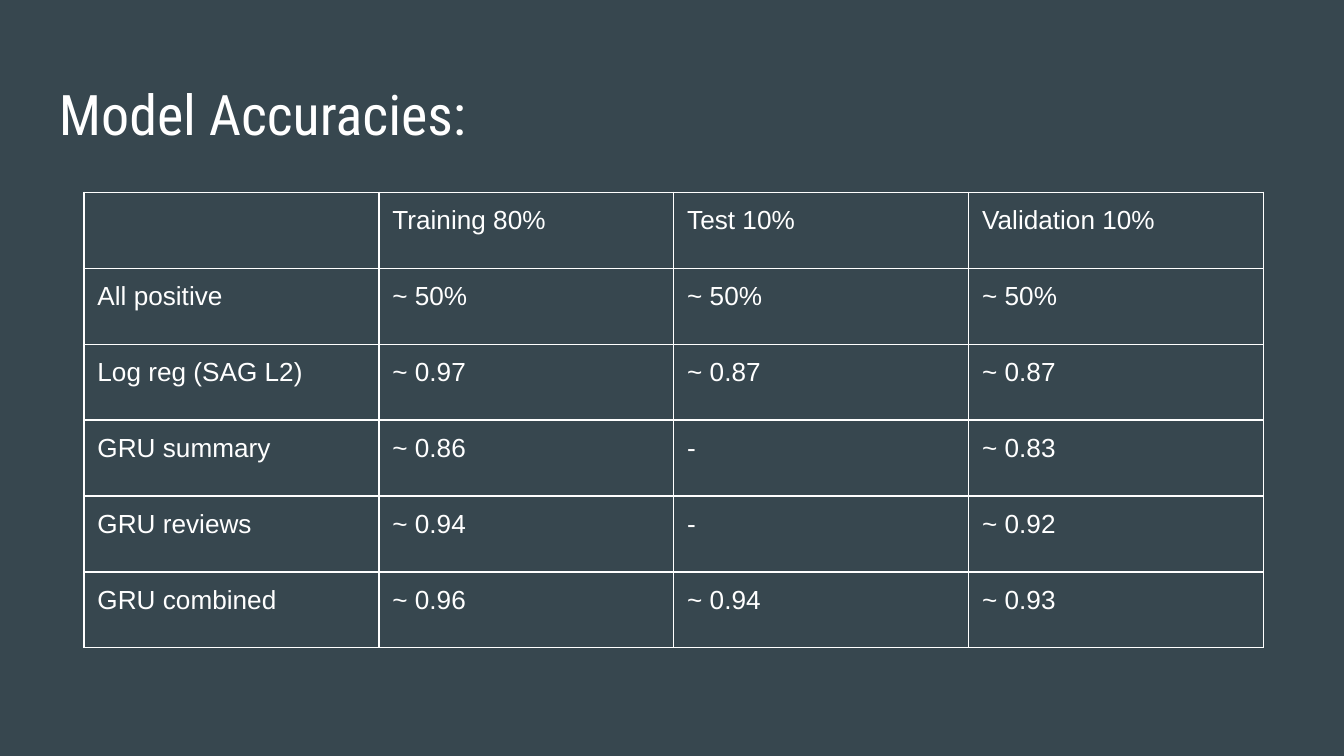
"""Build a slide with a table of model accuracies on a dark background."""
from lxml import etree
from pptx import Presentation
from pptx.dml.color import RGBColor
from pptx.enum import text
from pptx.oxml import ns
from pptx.util import Pt

SLATE = RGBColor(0x37, 0x47, 0x4F)
WHITE = RGBColor(0xFF, 0xFF, 0xFF)
INSET = Pt(7.2)
ROWS = [
    ["", "Training 80%", "Test 10%", "Validation 10%"],
    ["All positive", "~ 50%", "~ 50%", "~ 50%"],
    ["Log reg (SAG L2)", "~ 0.97", "~ 0.87", "~ 0.87"],
    ["GRU summary", "~ 0.86", "-", "~ 0.83"],
    ["GRU reviews", "~ 0.94", "-", "~ 0.92"],
    ["GRU combined", "~ 0.96", "~ 0.94", "~ 0.93"],
]
COL_W, ROW_H = Pt(158), Pt(40.7)


def add_run(p, words, font, size):
    r = p.add_run()
    r.text = words
    r.font.name = font
    r.font.size = Pt(size)
    r.font.color.rgb = WHITE


def add_borders(cell):
    tc_pr = cell._tc.get_or_add_tcPr()
    for i, side in enumerate(("lnL", "lnR", "lnT", "lnB")):
        ln = etree.Element(ns.qn(f"a:{side}"), w=str(Pt(0.75)))
        fill = etree.SubElement(ln, ns.qn("a:solidFill"))
        etree.SubElement(fill, ns.qn("a:srgbClr"), val=str(WHITE))
        tc_pr.insert(i, ln)


prs = Presentation()
prs.slide_width, prs.slide_height = Pt(720), Pt(405)
s = prs.slides.add_slide(prs.slide_layouts[6])
s.background.fill.solid()
s.background.fill.fore_color.rgb = SLATE

title = s.shapes.add_textbox(Pt(24.5), Pt(35.4), Pt(671), Pt(45.1))
tf = title.text_frame
tf.word_wrap = True
tf.vertical_anchor = text.MSO_ANCHOR.TOP
tf.margin_left = tf.margin_right = tf.margin_top = tf.margin_bottom = INSET
add_run(tf.paragraphs[0], "Model Accuracies:", "Roboto Condensed", 30)

frame = s.shapes.add_table(len(ROWS), len(ROWS[0]), Pt(45), Pt(103),
                           COL_W * len(ROWS[0]), ROW_H * len(ROWS))
table = frame.table
table.first_row = table.horz_banding = False
for col in table.columns:
    col.width = COL_W
for row, values in zip(table.rows, ROWS):
    row.height = ROW_H
    for cell, value in zip(row.cells, values):
        cell.fill.background()
        cell.margin_left = cell.margin_right = INSET
        cell.margin_top = cell.margin_bottom = INSET
        add_borders(cell)
        if value:
            add_run(cell.text_frame.paragraphs[0], value, "Arial", 14)

prs.save("out.pptx")
